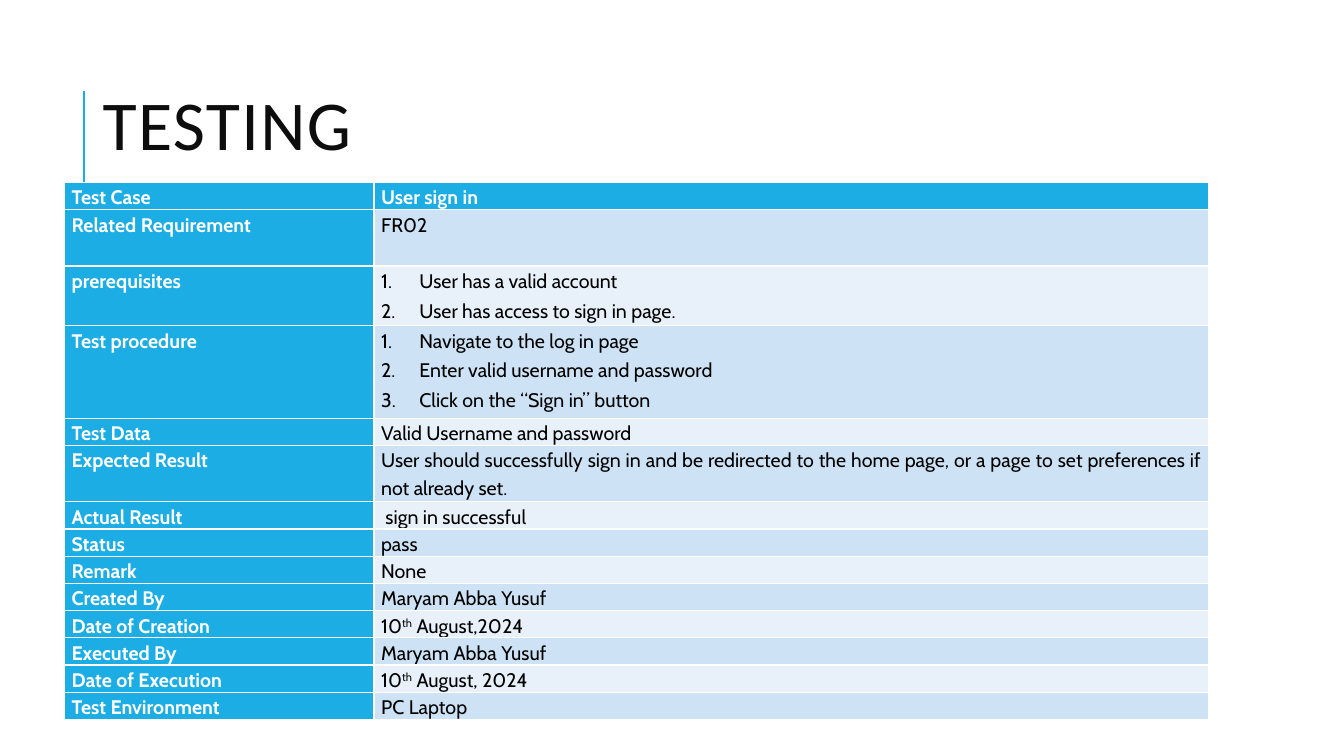
"""Build the sign-in test case slide."""
import pptx
import pptx.dml.color
import pptx.enum.shapes
import pptx.enum.text
import pptx.oxml
import pptx.oxml.ns
import pptx.util
from lxml import etree

Inches = pptx.util.Inches
Pt = pptx.util.Pt

COLORS = {
    "accent": "1CADE4",
    "title": "0D0D0D",
    "white": "FFFFFF",
    "black": "000000",
    "band_dark": "CDE3F5",
    "band_light": "E8F1FA",
}

LINE_HEIGHT = 0.27
TEST_CASE = [
    ("Test Case", ["User sign in"], LINE_HEIGHT),
    ("Related Requirement", ["FR02"], 0.56),
    ("prerequisites", ["User has a valid account", "User has access to sign in page."], 0.59),
    ("Test procedure", ["Navigate to the log in page", "Enter valid username and password",
                        "Click on the “Sign in” button"], 0.92),
    ("Test Data", ["Valid Username and password"], LINE_HEIGHT),
    ("Expected Result", ["User should successfully sign in and be redirected to the home page, "
                         "or a page to set preferences if not already set."], 0.56),
    ("Actual Result", [" sign in successful"], LINE_HEIGHT),
    ("Status", ["pass"], LINE_HEIGHT),
    ("Remark", ["None"], LINE_HEIGHT),
    ("Created By", ["Maryam Abba Yusuf"], LINE_HEIGHT),
    ("Date of Creation", ["10^th^ August,2024"], LINE_HEIGHT),
    ("Executed By", ["Maryam Abba Yusuf"], LINE_HEIGHT),
    ("Date of Execution", ["10^th^ August, 2024"], LINE_HEIGHT),
    ("Test Environment", ["PC Laptop"], LINE_HEIGHT),
]


class SlideBuilder:
    """Hold the style and the current slide."""

    def __init__(self, slide):
        self.slide = slide
        self.title_font = "Calibri"
        self.table_font = "Cabin"

    def color(self, name):
        return pptx.dml.color.RGBColor.from_string(COLORS[name])

    def style(self, span, font, size, color, bold=False):
        span.font.name = font
        span.font.size = Pt(size)
        span.font.bold = bold
        span.font.color.rgb = self.color(color)

    def line(self, x, top, bottom):
        rule = self.slide.shapes.add_connector(
            pptx.enum.shapes.MSO_CONNECTOR.STRAIGHT,
            Inches(x), Inches(bottom), Inches(x), Inches(top))
        rule.line.color.rgb = self.color("accent")
        rule.line.width = Pt(1.5)
        etree.SubElement(rule._element.spPr, pptx.oxml.ns.qn("a:effectLst"))

    def title(self, text, left, top, width, height):
        box = self.slide.shapes.add_textbox(Inches(left), Inches(top), Inches(width), Inches(height))
        frame = box.text_frame
        frame.word_wrap = True
        frame.vertical_anchor = pptx.enum.text.MSO_ANCHOR.MIDDLE
        frame.text = text
        para = frame.paragraphs[0]
        para.line_spacing = 0.8
        span = para.runs[0]
        self.style(span, self.title_font, 50, "title")
        span.font._element.set("spc", "100")

    def paragraph(self, para, text, color, bold, numbered):
        para.alignment = pptx.enum.text.PP_ALIGN.JUSTIFY
        para.line_spacing = 1.15
        para.space_after = Pt(1.5)
        for index, part in enumerate(text.split("^")):
            span = para.add_run()
            span.text = part
            self.style(span, self.table_font, 14, color, bold)
            if index % 2:
                span.font._element.set("baseline", "30000")
        if numbered:
            properties = para._p.get_or_add_pPr()
            properties.set("marL", str(Inches(0.38)))
            properties.set("indent", str(-Inches(0.38)))
            etree.SubElement(properties, pptx.oxml.ns.qn("a:buFont"), typeface="+mj-lt")
            etree.SubElement(properties, pptx.oxml.ns.qn("a:buAutoNum"), type="arabicPeriod")

    def cell(self, cell, lines, fill, color, bold):
        cell.margin_left = cell.margin_right = Inches(0.07)
        cell.margin_top = cell.margin_bottom = 0
        cell.fill.solid()
        cell.fill.fore_color.rgb = self.color(fill)
        frame = cell.text_frame
        for index, text in enumerate(lines):
            para = frame.add_paragraph() if index else frame.paragraphs[0]
            self.paragraph(para, text, color, bold, len(lines) > 1)

    def table(self, rows, left, top, widths):
        height = sum(row[2] for row in rows)
        table = self.slide.shapes.add_table(
            len(rows), len(widths), Inches(left), Inches(top),
            Inches(sum(widths)), Inches(height)).table
        table.first_col = True
        for column, width in zip(table.columns, widths):
            column.width = Inches(width)
        for index, (label, lines, row_height) in enumerate(rows):
            table.rows[index].height = Inches(row_height)
            self.cell(table.cell(index, 0), [label], "accent", "white", True)
            if index == 0:
                look = ("accent", "white", True)
            else:
                look = ("band_dark" if index % 2 else "band_light", "black", False)
            self.cell(table.cell(index, 1), lines, *look)


def main():
    deck = pptx.Presentation()
    deck.slide_width = Inches(13.33)
    deck.slide_height = Inches(7.5)
    page = SlideBuilder(deck.slides.add_slide(deck.slide_layouts[6]))
    page.line(0.83, 0.9, 1.9)
    page.title("TESTING", 0.92, 0.57, 11.5, 1.45)
    page.table(TEST_CASE, 0.64, 1.81, [3.07, 8.28])
    deck.save("out.pptx")


if __name__ == "__main__":
    main()
